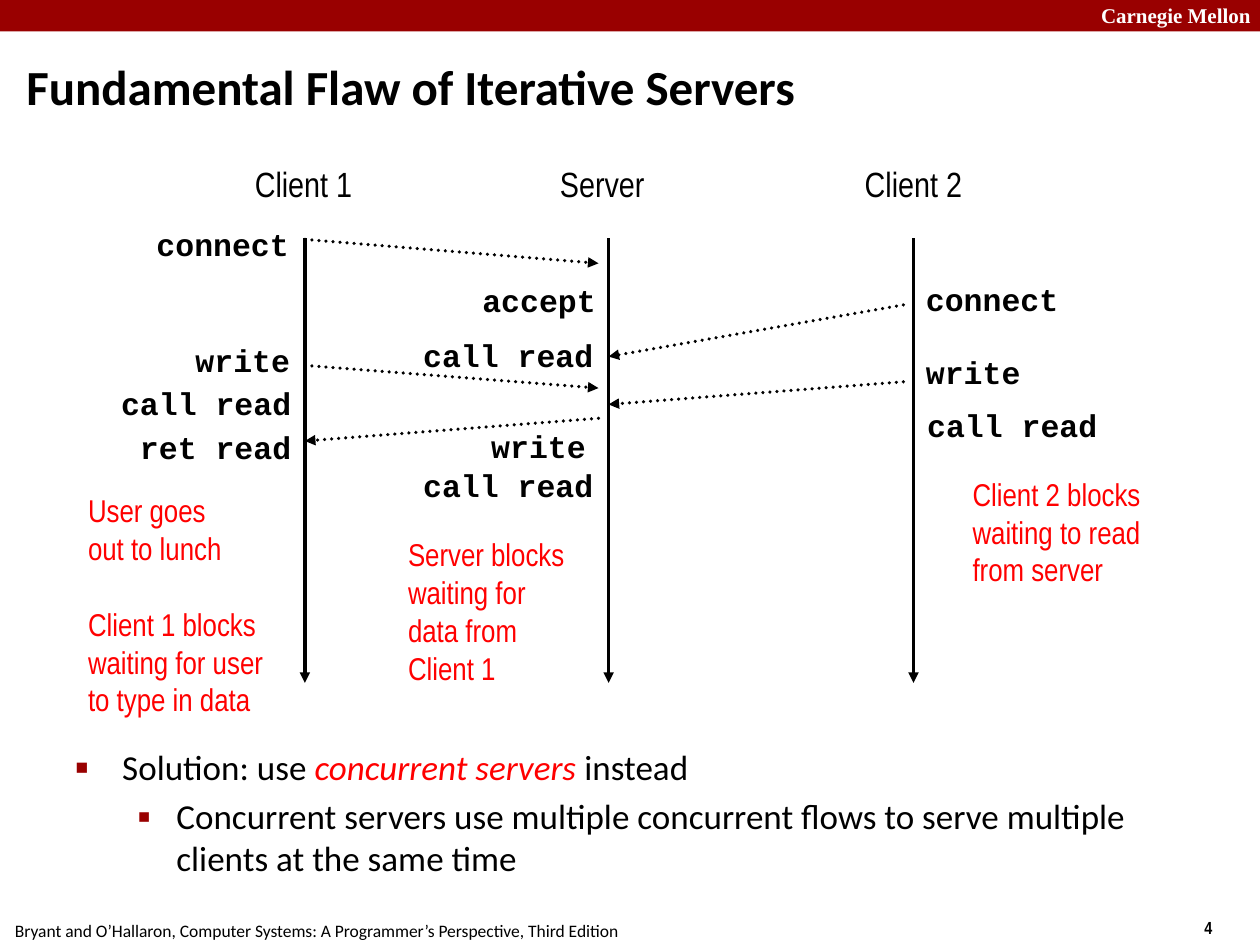
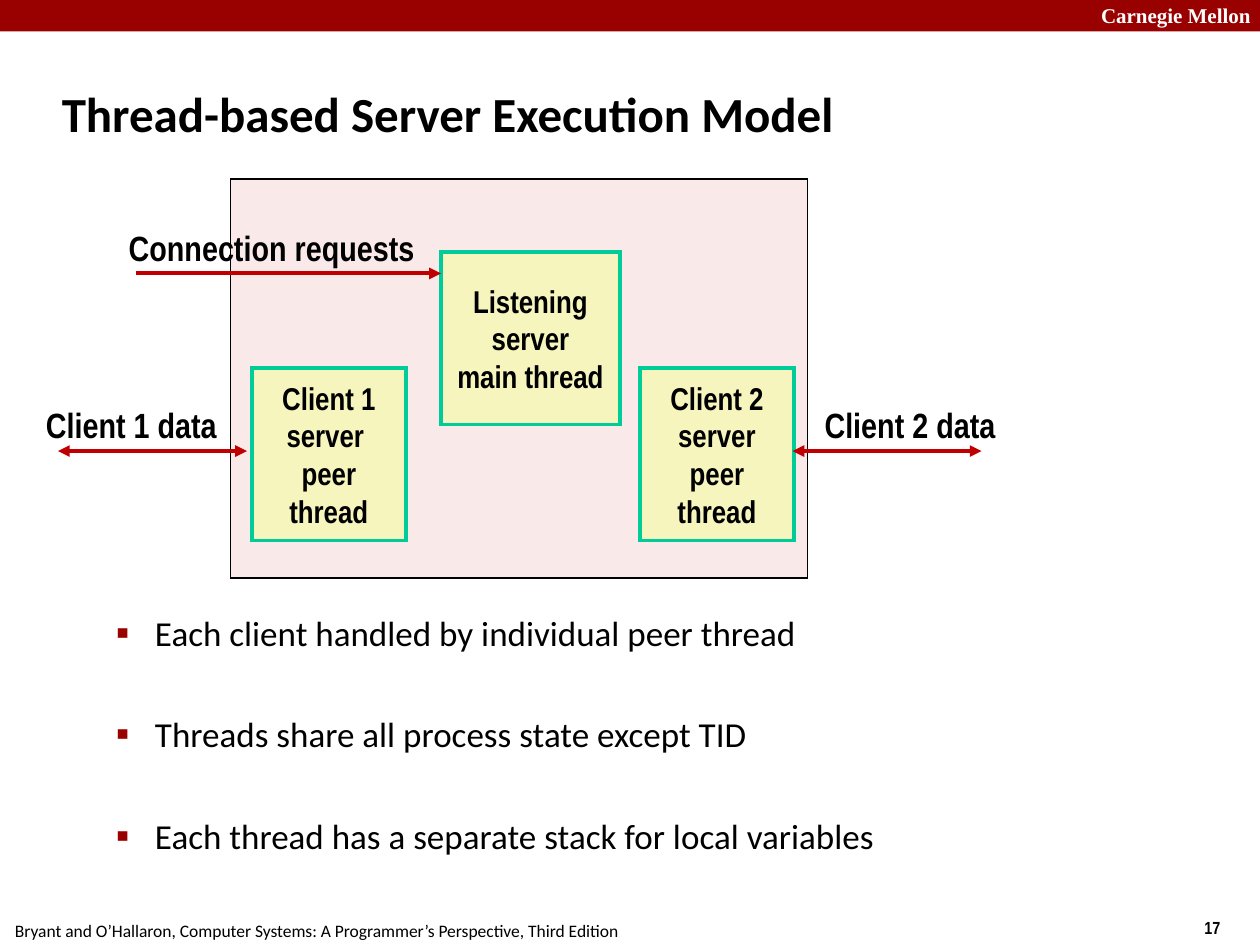
"""Build two slides on iterative and thread-based servers."""
import dataclasses
import typing

import lxml.etree
import pptx
import pptx.dml.color
import pptx.enum.dml
import pptx.enum.shapes
import pptx.enum.text
import pptx.oxml.ns
import pptx.util

Inches = pptx.util.Inches
Align = pptx.enum.text.PP_ALIGN
Point = tuple[float, float]
Frame = tuple[float, float, float, float]

BLACK = "000000"
WHITE = "FFFFFF"
RED = "FF0000"
CRIMSON = "990000"
ARROW_RED = "C00000"
PROCESS_PINK = "F1C7C7"
THREAD_YELLOW = "F6F5BD"
THREAD_GREEN = "00CC99"
ACTOR_WIDTH = 1.3


@dataclasses.dataclass(frozen=True)
class Style:
    font: str
    size: float
    color: str = BLACK
    bold: bool = False
    italic: bool = False


TITLE = Style("Calibri", 28, bold=True)
BODY = Style("Calibri", 20)
EMPHASIS = dataclasses.replace(BODY, color=RED, italic=True)
BRAND = Style("Times New Roman", 12, WHITE, bold=True)
FOOTER = Style("Calibri", 10)
PAGE_NUMBER = Style("Arial Narrow", 10, bold=True)
ACTOR = Style("Arial Narrow", 20)
CODE = Style("Courier New", 18, bold=True)
NOTE = Style("Arial Narrow", 18, RED)
THREAD = Style("Arial Narrow", 18, bold=True)
TRAFFIC = Style("Arial Narrow", 20, bold=True)


class Bullet(typing.NamedTuple):
    level: int
    margin: float
    indent: float
    mark: str
    percent: int


MAIN_BULLET = Bullet(0, 0.38, -0.37, "■", 60)
SUB_BULLET = Bullet(1, 0.81, -0.31, "▪", 110)


class Item(typing.NamedTuple):
    bullet: Bullet
    spans: list[tuple[str, Style]]
    space_before: float = 0


class Label(typing.NamedTuple):
    text: str
    left: float
    top: float
    align: Align = Align.LEFT


class Note(typing.NamedTuple):
    frame: Frame
    groups: list[list[str]]


class Arrow(typing.NamedTuple):
    start: Point
    end: Point
    both_ends: bool = False


class ThreadBox(typing.NamedTuple):
    frame: Frame
    lines: list[str]


CLIENT_1, SERVER, CLIENT_2 = LIFELINES = (2.42, 4.83, 7.25)
ACTORS = [("Client 1", 2.41), ("Server", 4.78), ("Client 2", 7.25)]

MESSAGES = [
    Arrow((CLIENT_1, 1.9), (4.75, 2.09)),
    Arrow((7.17, 2.42), (SERVER, 2.83)),
    Arrow((CLIENT_1, 2.9), (4.75, 3.08)),
    Arrow((7.17, 3.03), (SERVER, 3.21)),
    Arrow((4.75, 3.32), (CLIENT_1, 3.5)),
]

CALLS = [
    Label("connect", 1.14, 1.74, Align.RIGHT),
    Label("write", 1.45, 2.66, Align.RIGHT),
    Label("call read", 0.86, 3, Align.RIGHT),
    Label("ret read", 1.01, 3.35, Align.RIGHT),
    Label("accept", 3.73, 2.18),
    Label("call read", 3.26, 2.62),
    Label("write", 3.8, 3.34),
    Label("call read", 3.26, 3.65),
    Label("connect", 7.25, 2.17),
    Label("write", 7.25, 2.75),
    Label("call read", 7.26, 3.17),
]

NOTES = [
    Note((0.6, 3.85, 1.59, 1.9), [["User goes", "out to lunch"],
                                  ["Client 1 blocks", "waiting for user", "to type in data"]]),
    Note((7.62, 3.72, 1.59, 1), [["Client 2 blocks", "waiting to read", "from server"]]),
    Note((3.14, 4.2, 1.44, 1.3), [["Server blocks", "waiting for", "data from", "Client 1"]]),
]

THREADS = [
    ThreadBox((2, 2.92, 1.22, 1.37), ["Client 1", "server ", "peer", "thread"]),
    ThreadBox((5.08, 2.92, 1.22, 1.37), ["Client 2", "server", "peer", "thread"]),
    ThreadBox((3.5, 2, 1.42, 1.37), ["Listening", "server", "main thread"]),
]

TRAFFIC_ARROWS = [
    Arrow((1.08, 2.17), (3.5, 2.17)),
    Arrow((0.46, 3.58), (1.96, 3.58), both_ends=True),
    Arrow((7.79, 3.58), (6.29, 3.58), both_ends=True),
]

TRAFFIC_LABELS = [
    ("Connection requests", (0.92, 1.75, 2.47, 0.43)),
    ("Client 1 data", (0.26, 3.15, 1.56, 0.43)),
    ("Client 2 data", (6.44, 3.15, 1.56, 0.43)),
]


def rgb(color: str) -> pptx.dml.color.RGBColor:
    return pptx.dml.color.RGBColor.from_string(color)


def add_child(parent, tag: str, **attributes: str):
    return lxml.etree.SubElement(parent, pptx.oxml.ns.qn(tag), attributes)


def place(shape, frame: Frame) -> None:
    shape.left, shape.top, shape.width, shape.height = map(Inches, frame)


def add_span(para, text: str, style: Style) -> None:
    span = para.add_run()
    span.text = text
    span.font.name = style.font
    span.font.size = pptx.util.Pt(style.size)
    span.font.bold = style.bold
    span.font.italic = style.italic
    span.font.color.rgb = rgb(style.color)


def next_para(text_frame, index: int):
    return text_frame.add_paragraph() if index else text_frame.paragraphs[0]


def write_lines(text_frame, lines: list[str], style: Style, align: Align) -> None:
    for index, line in enumerate(lines):
        para = next_para(text_frame, index)
        para.alignment = align
        add_span(para, line, style)


def add_label(page, frame: Frame, lines: list[str], style: Style,
              align: Align = Align.LEFT, wrap: bool = False):
    box = page.shapes.add_textbox(*map(Inches, frame))
    box.text_frame.word_wrap = wrap
    box.text_frame.auto_size = pptx.enum.text.MSO_AUTO_SIZE.SHAPE_TO_FIT_TEXT
    write_lines(box.text_frame, lines, style, align)
    return box


def add_box(page, frame: Frame, fill: str, outline: str = "", weight: float = 0):
    box = page.shapes.add_shape(pptx.enum.shapes.MSO_SHAPE.RECTANGLE, *map(Inches, frame))
    box.shadow.inherit = False
    box.fill.solid()
    box.fill.fore_color.rgb = rgb(fill)
    if outline:
        box.line.color.rgb = rgb(outline)
        box.line.width = pptx.util.Pt(weight)
        add_child(box.line._get_or_add_ln(), "a:miter", lim="800000")
    else:
        box.line.fill.background()
    return box


def add_arrow(page, arrow: Arrow, color: str, weight: float, dotted: bool = False) -> None:
    line = page.shapes.add_connector(pptx.enum.shapes.MSO_CONNECTOR.STRAIGHT,
                                     *map(Inches, arrow.start + arrow.end))
    line.line.color.rgb = rgb(color)
    line.line.width = pptx.util.Pt(weight)
    outline = line.line._get_or_add_ln()
    if dotted:
        line.line.dash_style = pptx.enum.dml.MSO_LINE.ROUND_DOT
        outline.set("cap", "rnd")
    if arrow.both_ends:
        add_child(outline, "a:headEnd", type="triangle")
    add_child(outline, "a:tailEnd", type="triangle")
    add_child(line._element.spPr, "a:effectLst")


def add_title(page, text: str, frame: Frame) -> None:
    title = page.shapes.title
    place(title, frame)
    title.text_frame.vertical_anchor = pptx.enum.text.MSO_ANCHOR.MIDDLE
    title.text_frame.auto_size = pptx.enum.text.MSO_AUTO_SIZE.NONE
    write_lines(title.text_frame, [text], TITLE, Align.LEFT)


def add_bullet(para, bullet: Bullet) -> None:
    para.level = bullet.level
    properties = para._p.get_or_add_pPr()
    properties.set("marL", str(Inches(bullet.margin)))
    properties.set("indent", str(Inches(bullet.indent)))
    add_child(add_child(properties, "a:buClr"), "a:srgbClr", val=CRIMSON)
    add_child(properties, "a:buSzPct", val=str(bullet.percent * 1000))
    add_child(properties, "a:buFont", typeface="Arial")
    add_child(properties, "a:buChar", char=bullet.mark)


def add_list(page, frame: Frame, items: list[Item]) -> None:
    body = page.placeholders[1]
    place(body, frame)
    body.text_frame.auto_size = pptx.enum.text.MSO_AUTO_SIZE.NONE
    for index, item in enumerate(items):
        para = next_para(body.text_frame, index)
        para.space_before = pptx.util.Pt(item.space_before)
        add_bullet(para, item.bullet)
        for text, style in item.spans:
            add_span(para, text, style)


def add_page(deck, number: int, title: str, title_frame: Frame):
    page = deck.slides.add_slide(deck.slide_layouts[1])
    add_box(page, (0, 0, 10, 0.25), CRIMSON)
    add_label(page, (8.64, -0.03, 1.43, 0.3), ["Carnegie Mellon"], BRAND, wrap=True)
    add_label(page, (9.46, 7.23, 0.75, 0.27), [str(number)], PAGE_NUMBER)
    add_label(page, (0.02, 7.25, 5.01, 0.27), [
        "Bryant and O’Hallaron, Computer Systems: A Programmer’s Perspective, Third Edition"
    ], FOOTER)
    add_title(page, title, title_frame)
    return page


def build_flaw_page(deck) -> None:
    page = add_page(deck, 4, "Fundamental Flaw of Iterative Servers", (0.11, 0.37, 9.83, 0.63))
    add_list(page, (0.49, 5.87, 9.26, 1.26), [
        Item(MAIN_BULLET, [("Solution: use ", BODY), ("concurrent servers ", EMPHASIS),
                           ("instead", BODY)]),
        Item(SUB_BULLET, [("Concurrent servers use multiple concurrent flows to serve "
                           "multiple clients at the same time", BODY)], 4),
    ])
    for note in NOTES:
        lines = sum(note.groups, [])
        box = add_label(page, note.frame, lines, NOTE)
        for group in note.groups[1:]:
            first_para = box.text_frame.paragraphs[lines.index(group[0])]
            first_para.space_before = pptx.util.Pt(21.7)
    for name, center in ACTORS:
        frame = (center - ACTOR_WIDTH / 2, 1.24, ACTOR_WIDTH, 0.43)
        add_label(page, frame, [name], ACTOR, Align.CENTER, wrap=True)
    for x in LIFELINES:
        add_arrow(page, Arrow((x, 1.89), (x, 5.42)), BLACK, 2)
    for message in MESSAGES:
        add_arrow(page, message, BLACK, 2, dotted=True)
    for call in CALLS:
        width = 0.2 + 0.15 * len(call.text)
        add_label(page, (call.left, call.top, width, 0.4), [call.text], CODE, call.align)


def build_thread_page(deck) -> None:
    page = add_page(deck, 17, "Thread-based Server Execution Model", (0.39, 0.48, 8.3, 0.83))
    process = add_box(page, (1.83, 1.42, 4.58, 3.17), PROCESS_PINK, BLACK, 1)
    fill_color = process._element.spPr.find(".//" + pptx.oxml.ns.qn("a:srgbClr"))
    add_child(fill_color, "a:alpha", val="38000")
    points = ["Each client handled by individual peer thread",
              "Threads share all process state except TID",
              "Each thread has a separate stack for local variables"]
    add_list(page, (0.32, 4.8, 9.08, 2.21), [
        Item(SUB_BULLET, [(point, BODY)], 34 if index else 0)
        for index, point in enumerate(points)
    ])
    for thread in THREADS:
        box = add_box(page, thread.frame, THREAD_YELLOW, THREAD_GREEN, 2.25)
        box.text_frame.word_wrap = False
        box.text_frame.vertical_anchor = pptx.enum.text.MSO_ANCHOR.MIDDLE
        write_lines(box.text_frame, thread.lines, THREAD, Align.CENTER)
    for arrow in TRAFFIC_ARROWS:
        add_arrow(page, arrow, ARROW_RED, 2.25)
    for text, frame in TRAFFIC_LABELS:
        add_label(page, frame, [text], TRAFFIC, Align.RIGHT)


def main() -> None:
    deck = pptx.Presentation()
    deck.slide_width, deck.slide_height = Inches(10), Inches(7.5)
    build_flaw_page(deck)
    build_thread_page(deck)
    deck.save("out.pptx")


if __name__ == "__main__":
    main()
